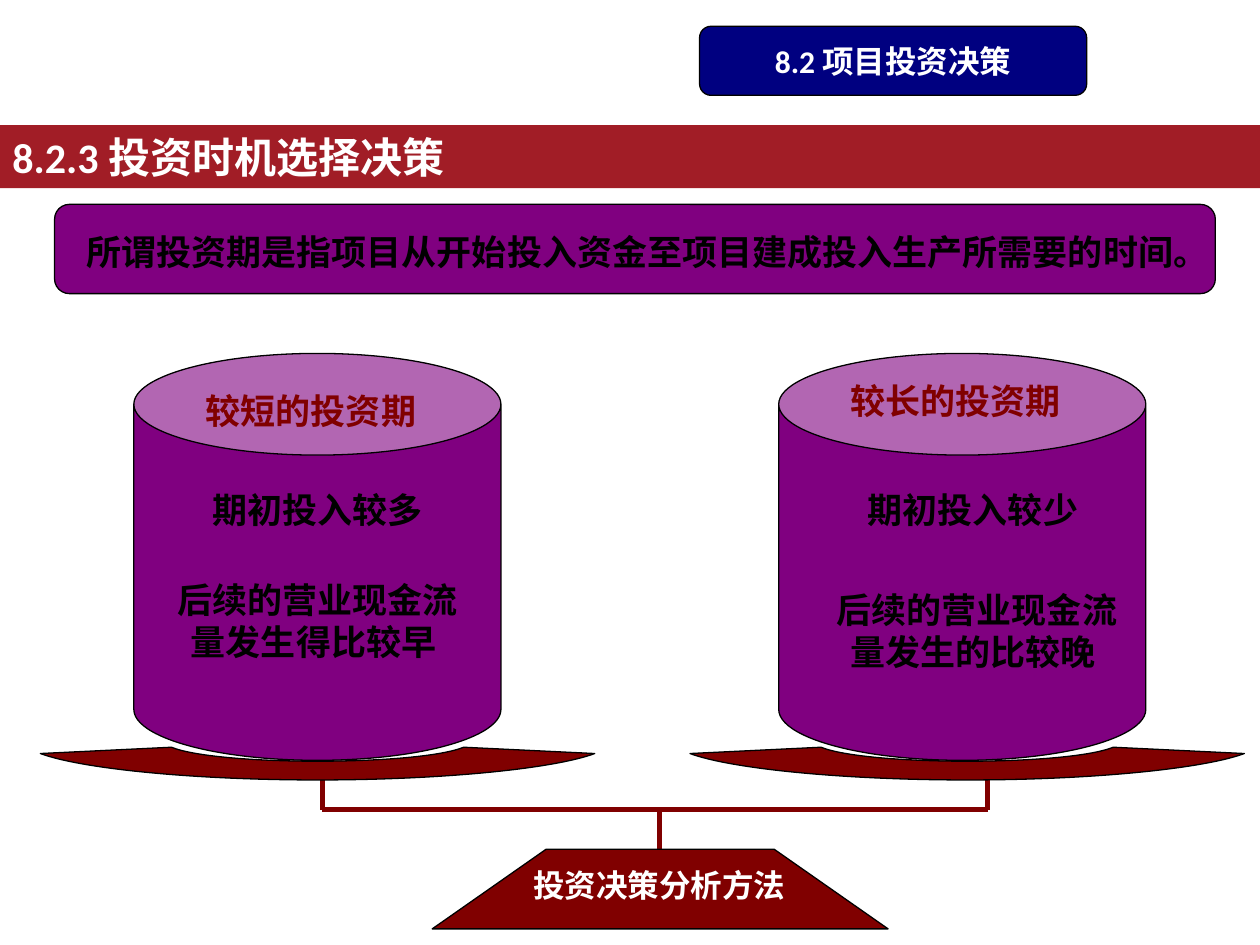
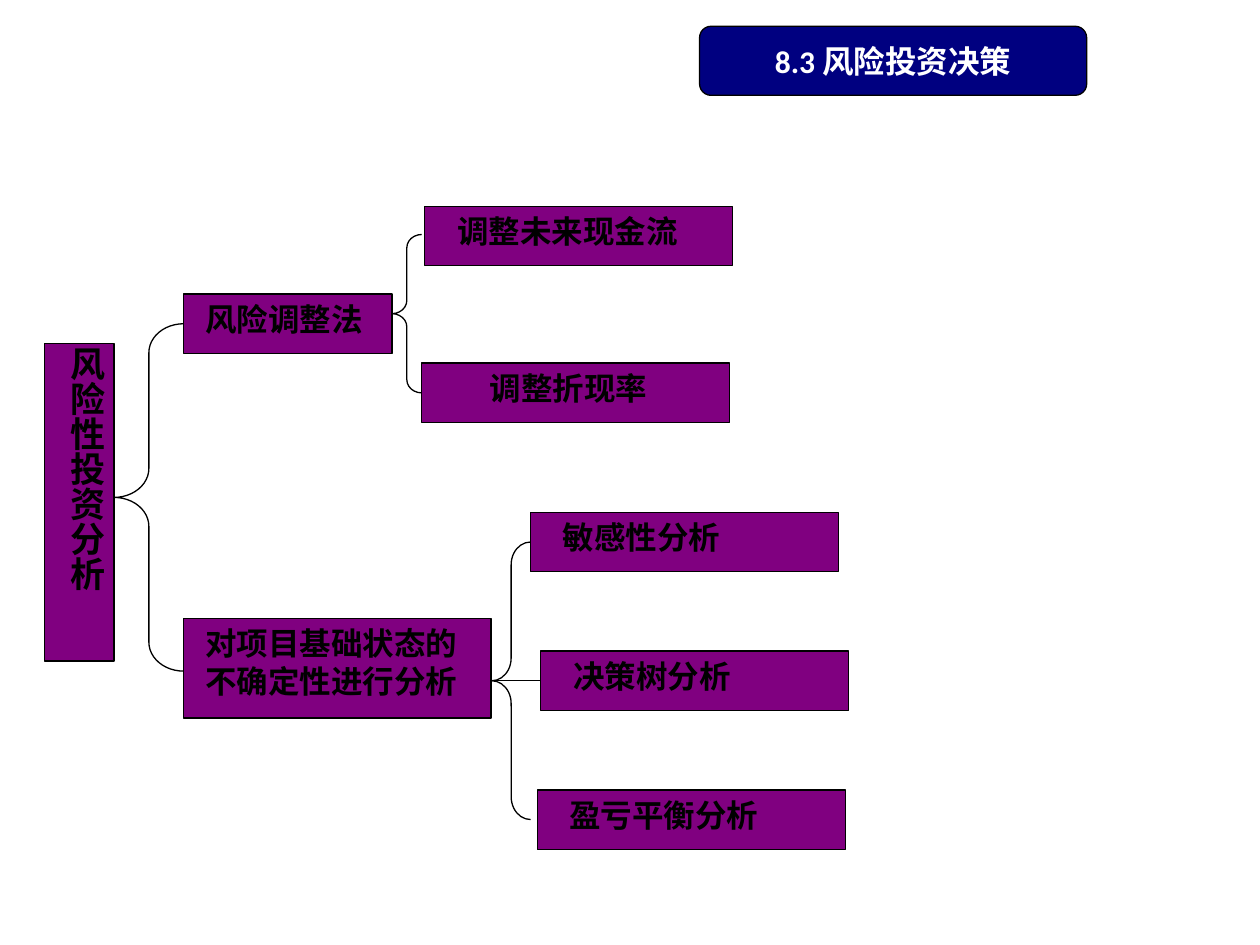
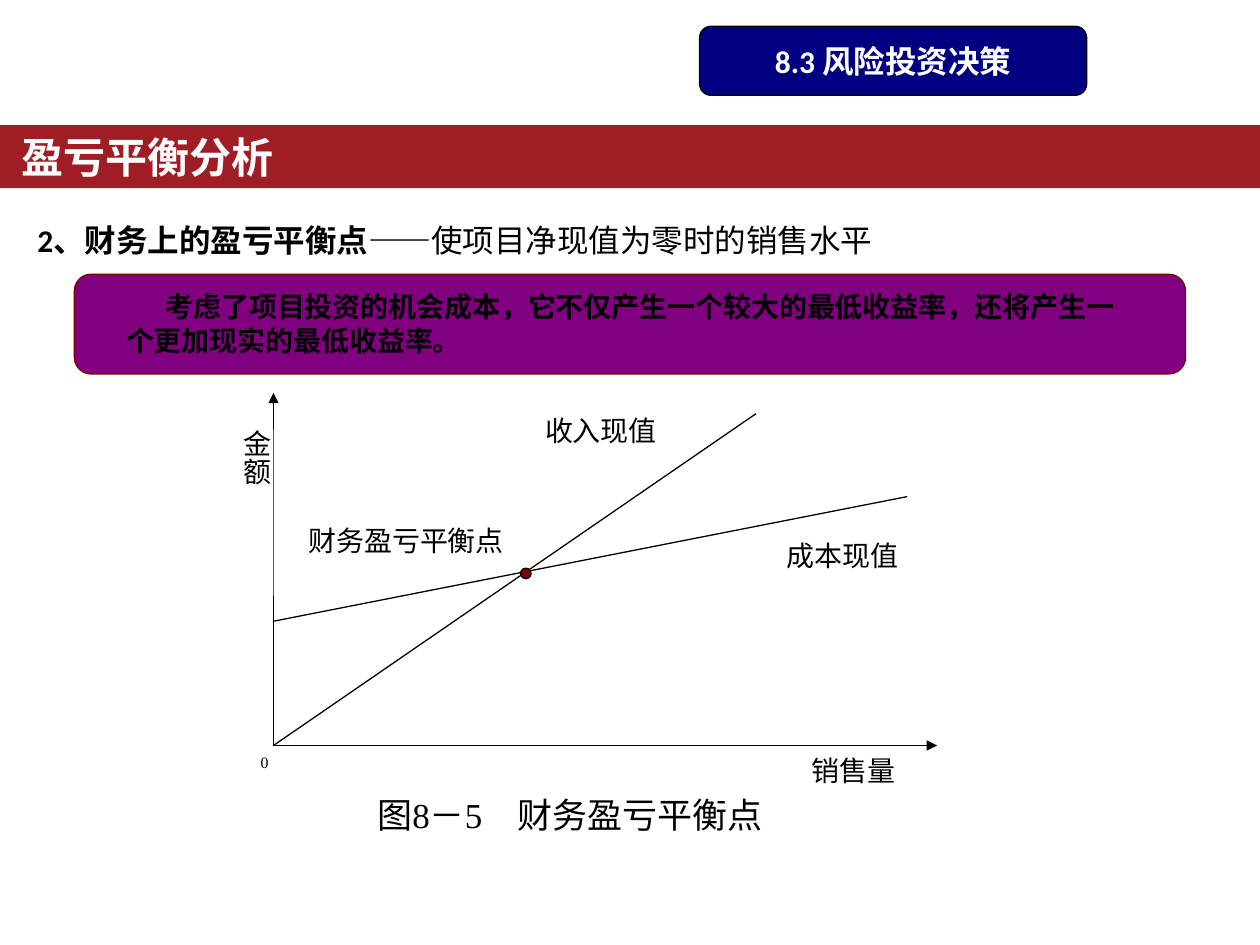
from lxml.etree import SubElement
from pptx import Presentation
from pptx.dml.color import RGBColor
from pptx.enum.shapes import MSO_CONNECTOR, MSO_SHAPE
from pptx.enum.text import MSO_ANCHOR, PP_ALIGN
from pptx.oxml.ns import qn
from pptx.util import Pt

COLORS = {"white": "FFFFFF", "black": "000000", "band": "A11D26",
          "navy": "000080", "purple": "800080", "maroon": "800000"}
SERIF = "Times New Roman"
PLAIN_INSETS = (7.2, 3.6, 7.2, 3.6)  # left, top, right, bottom


def add_block(slide, at, text="", preset=None, fill=None, line=None, size=18,
              color="black", font="Calibri", bold=True, align=PP_ALIGN.LEFT,
              anchor=MSO_ANCHOR.TOP, insets=PLAIN_INSETS, vertical=False, indent=0):
    """Add a shape, or a text box when no preset is given, with one paragraph."""
    place = [Pt(value) for value in at]
    if preset is None:
        block = slide.shapes.add_textbox(*place)
    else:
        block = slide.shapes.add_shape(preset, *place)
        block.shadow.inherit = False
        if fill:
            block.fill.solid()
            block.fill.fore_color.rgb = RGBColor.from_string(COLORS[fill])
        else:
            block.fill.background()
        if line:
            block.line.color.rgb = RGBColor.from_string(COLORS[line])
            block.line.width = Pt(0.75)
        else:
            block.line.fill.background()
    if text:
        frame = block.text_frame
        frame.word_wrap = True
        frame.vertical_anchor = anchor
        (frame.margin_left, frame.margin_top,
         frame.margin_right, frame.margin_bottom) = [Pt(value) for value in insets]
        if vertical:
            frame._txBody.bodyPr.set("vert", "eaVert")
        paragraph = frame.paragraphs[0]
        paragraph.alignment = align
        if indent:
            paragraph._p.get_or_add_pPr().set("indent", str(Pt(indent)))
        for part in [text] if isinstance(text, str) else text:
            run = paragraph.add_run()
            run.text = part
            run.font.size, run.font.name, run.font.bold = Pt(size), font, bold
            run.font.color.rgb = RGBColor.from_string(COLORS[color])
    return block


def add_link(slide, start, end, color="black", width=0.75, arrow=False):
    """Add a straight line, with an arrowhead at its end if wanted."""
    link = slide.shapes.add_connector(
        MSO_CONNECTOR.STRAIGHT, *[Pt(value) for value in (*start, *end)])
    link.line.color.rgb = RGBColor.from_string(COLORS[color])
    link.line.width = Pt(width)
    if arrow:
        SubElement(link.line._get_or_add_ln(), qn("a:tailEnd"), type="triangle")
    SubElement(link._element.spPr, qn("a:effectLst"))
    return link


deck = Presentation()
deck.slide_width, deck.slide_height = Pt(720), Pt(540)

# Section tag and title band shared by the slides
headings = [
    ("8.2 项目投资决策", "8.2.3 投资时机选择决策", "Calibri", 0),
    ("8.3 风险投资决策", None, None, 0),
    ("8.3 风险投资决策", "盈亏平衡分析", "Arial", 5.5),
]
for section, title, title_font, title_indent in headings:
    slide = deck.slides.add_slide(deck.slide_layouts[6])
    add_block(slide, (399.75, 15, 221.25, 39.5), section,
              MSO_SHAPE.FLOWCHART_ALTERNATE_PROCESS, "navy", "black",
              color="white", align=PP_ALIGN.CENTER, anchor=MSO_ANCHOR.MIDDLE)
    if title:
        add_block(slide, (0, 71.5, 720, 36), title, MSO_SHAPE.RECTANGLE, "band",
                  size=24, color="white", font=title_font, indent=title_indent)
timing, risk, breakeven = deck.slides

# Slide 1: definition of the investment period
add_block(timing, (31.2, 116.8, 663.3, 51), preset=MSO_SHAPE.ROUNDED_RECTANGLE,
          fill="purple", line="black")
add_block(timing, (42.3, 128, 648, 31),
          "所谓投资期是指项目从开始投入资金至项目建成投入生产所需要的时间。", size=20)

# Slide 1: the two weights, each with its lines of text
weights = [
    (76.5, [("较短的投资期", (110.5, 219, 137, 31), "maroon"),
            ("期初投入较多", (76.5, 275.5, 209.5, 31), "black"),
            ("后续的营业现金流量发生得比较早 ", (93.5, 327, 176, 55), "black")]),
    (445, [("较长的投资期", (479, 213.3, 147.5, 31), "maroon"),
           ("期初投入较少", (474, 275.5, 164, 31), "black"),
           ("后续的营业现金流量发生的比较晚 ", (467.5, 333, 181.5, 55), "black")]),
]
for left, lines in weights:
    weight = add_block(timing, (left, 202, 209.75, 232.5), preset=MSO_SHAPE.CAN,
                       fill="purple", line="black")
    weight.adjustments[0] = 0.277
    for text, at, color in lines:
        add_block(timing, at, text, size=20, color=color,
                  align=PP_ALIGN.LEFT if color == "maroon" else PP_ALIGN.CENTER)

# Slide 1: arms of the balance
BEAM_Y = 462.75
for start, end in [((564.3, 445.5), (564.3, BEAM_Y)),
                   ((184.3, 445.5), (184.3, BEAM_Y)),
                   ((184.3, BEAM_Y), (564.3, BEAM_Y)),
                   ((377, BEAM_Y), (377, 485.5))]:
    add_link(timing, start, end, "maroon", 3)

# Slide 1: pans, from the right half of the rim and of the underside
rim = [(83.5, 427), (71.3, 432), (38, 435), (0, 435)]
underside = [(0, 445.7), (72, 445.7), (135.4, 439.2), (158.4, 430.6)]
outline = (rim + [(-x, y) for x, y in rim[-2::-1]]
           + [(-x, y) for x, y in reversed(underside)] + underside[1:])
for center in (181.5, 552.7):
    corners = [(Pt(center + x), Pt(y)) for x, y in outline]
    builder = timing.shapes.build_freeform(*corners[0], scale=1.0)
    builder.add_line_segments(corners[1:], close=True)
    pan = builder.convert_to_shape()
    pan.shadow.inherit = False
    pan.fill.solid()
    pan.fill.fore_color.rgb = RGBColor.from_string(COLORS["maroon"])
    pan.line.color.rgb = RGBColor.from_string(COLORS["black"])
    pan.line.width = Pt(0.75)
    # Turn each three steps of the rim and underside into one curve
    steps = list(pan._element.iter(qn("a:lnTo")))
    for first in (0, 3, 7, 10):
        curve = steps[first].makeelement(qn("a:cubicBezTo"))
        steps[first].addprevious(curve)
        for step in steps[first:first + 3]:
            curve.append(step[0])
            step.getparent().remove(step)

# Slide 1: foot of the balance
foot = add_block(timing, (247, 485.3, 260.5, 45.5), preset=MSO_SHAPE.TRAPEZOID,
                 fill="maroon", line="black")
foot.adjustments[0] = 1.43
add_block(timing, (297.5, 491.3, 181.5, 29), "投资决策分析方法", color="white")

# Slide 2: root of the method tree
add_block(risk, (25.4, 196.5, 39.8, 181.3), preset=MSO_SHAPE.RECTANGLE,
          fill="purple", line="black")
add_block(risk, (26.8, 190.8, 38.2, 198.7), "风险性投资分析", size=20,
          insets=(3.6,) * 4, vertical=True)

# Slide 2: methods, with the shift and width of each text
methods = [
    ("风险调整法", (105, 168, 119, 34), 5.3, 113),
    ("对项目基础状态的不确定性进行分析", (105, 353.3, 175.7, 57), 5.3, 164),
    ("调整未来现金流", (242.6, 117.8, 176, 34), 11.5, 153),
    ("调整折现率", (241, 207.5, 176, 34), 7.4, 153),
    ("敏感性分析", (303, 292.7, 176, 34), 11.5, 153),
    ("盈亏平衡分析", (307, 451.5, 176, 34), 11.3, 153),
    ("决策树分析", (309, 372, 176, 34), 11.5, 153),
]
for text, at, shift, width in methods:
    method = add_block(risk, at, preset=MSO_SHAPE.RECTANGLE, fill="purple", line="black")
    add_block(risk, (at[0] + shift, at[1], width, at[3] - 5), text,
              align=PP_ALIGN.CENTER if text == "调整折现率" else PP_ALIGN.LEFT)
decision_tree = method

# Slide 2: braces and the line to the decision tree
for at, curl in [((65.2, 185, 39.8, 198.5), 0.416), ((224, 134, 17, 90.5), 0.445),
                 ((281, 309.7, 22.2, 158.6), 0.585)]:
    brace = add_block(risk, at, preset=MSO_SHAPE.LEFT_BRACE, line="black")
    brace.adjustments[0] = curl
branch = add_link(risk, (281, 389), (309, 389))
branch.end_connect(decision_tree, 1)

# Slide 3: heading and note
heading = add_block(breakeven, (14.2, 122.5, 612.7, 29),
                    ["2、财务上的盈亏平衡点——", "使项目净现值为零时的销售水平"],
                    anchor=MSO_ANCHOR.MIDDLE)
heading.text_frame.paragraphs[0].runs[1].font.bold = False

# Slide 3: axes, revenue line and cost line
origin = (156.3, 426)
for start, end, arrow in [(origin, (156.3, 224.5), True),
                          (origin, (535.5, 426), True),
                          (origin, (432, 236.4), False),
                          ((156.3, 355), (518.4, 283.8), False)]:
    add_link(breakeven, start, end, arrow=arrow)

# Slide 3: labels of the diagram
for text, at, size in [("销售量", (463.7, 430.3, 69, 24), 16),
                       ("收入现值", (311.5, 236, 69, 24), 16),
                       ("财务盈亏平衡点", (176.3, 299, 121, 24), 16),
                       ("成本现值", (449.5, 307.5, 69, 24), 16),
                       ("金额", (121.8, 245.5, 34.5, 95), 16),
                       ("0", (149, 430.3, 17, 24), 9)]:
    add_block(breakeven, at, text, MSO_SHAPE.RECTANGLE, "white", size=size, font=SERIF,
              bold=False, align=PP_ALIGN.JUSTIFY, insets=(0,) * 4, vertical=text == "金额")

# Slide 3: caption, with a widened space after the figure number
caption = add_block(breakeven, (191, 450, 362, 35), ["图8－5", " ", "财务盈亏平衡点"],
                    MSO_SHAPE.RECTANGLE, "white", size=20, font=SERIF, bold=False,
                    align=PP_ALIGN.JUSTIFY, indent=17.5)
caption.text_frame.paragraphs[0].runs[1].font._element.set("spc", "1500")

# Slide 3: note and break-even point
add_block(breakeven, (42.5, 156.7, 635, 57), preset=MSO_SHAPE.ROUNDED_RECTANGLE,
          fill="purple", line="maroon")
add_block(breakeven, (65, 162, 590, 45.5),
          "考虑了项目投资的机会成本，它不仅产生一个较大的最低收益率，还将产生一个更加现实的最低收益率。",
          size=16, font="Arial", indent=22.5)
add_block(breakeven, (297.5, 324.7, 6, 6), preset=MSO_SHAPE.OVAL,
          fill="maroon", line="black")

deck.save("out.pptx")
